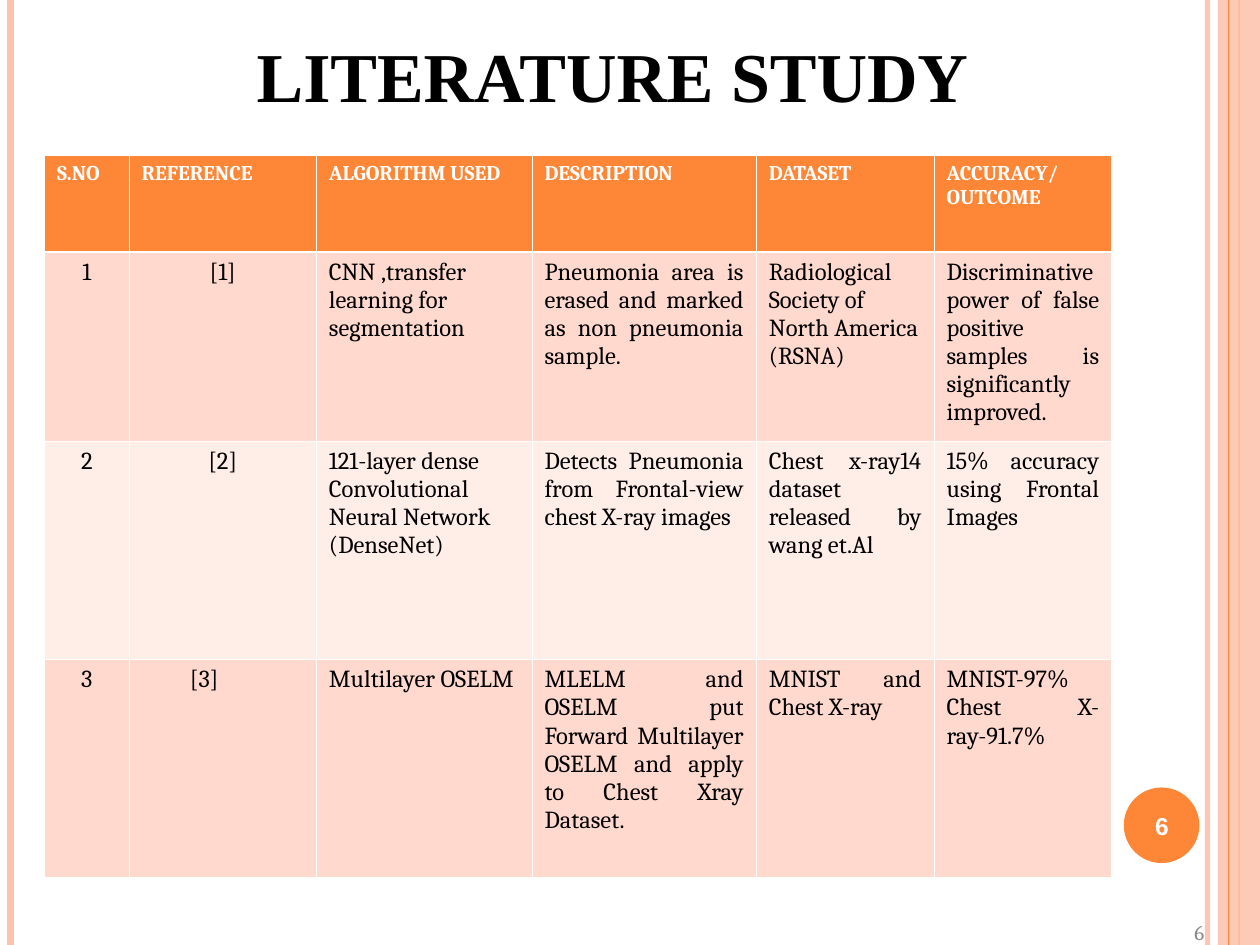
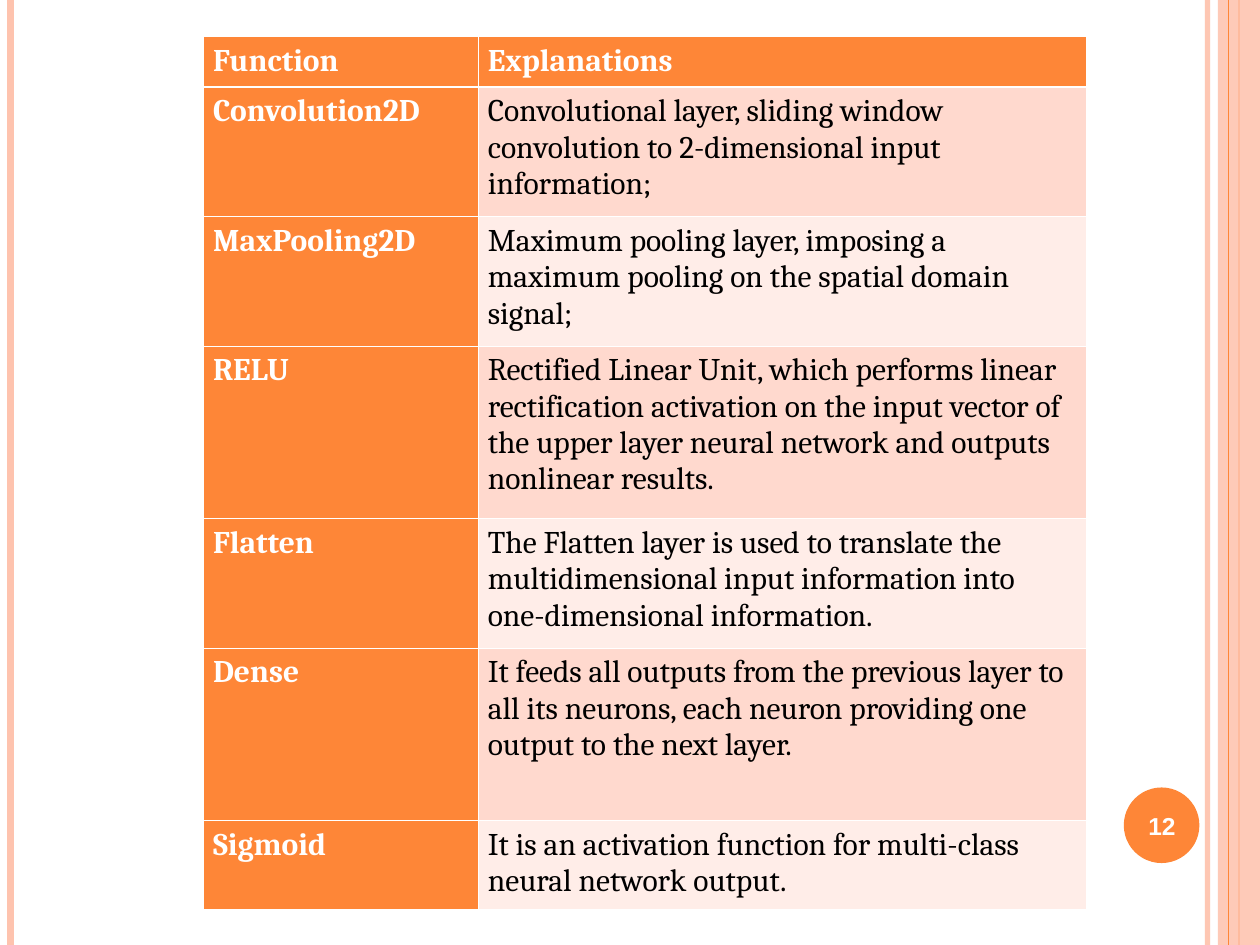
"""Build two slides: a literature study table and a table of layer functions."""
import pptx
import pptx.util
import pptx.dml.color
import pptx.enum.shapes
import pptx.enum.text
import pptx.oxml
import pptx.oxml.ns

Pt = pptx.util.Pt
ALIGN = pptx.enum.text.PP_ALIGN
SHAPE = pptx.enum.shapes.MSO_SHAPE
SIDES = {"l": ALIGN.LEFT, "c": ALIGN.CENTER, "r": ALIGN.RIGHT, "j": ALIGN.JUSTIFY}
ORANGE, PEACH, WHITE, BLACK, GREY = "FE8637", "FEC3AE", "FFFFFF", "000000", "898989"
BANDS = ["FFD9CE", "FFEDE8"]
WIDE, HIGH = 720, 540

STUDY = {
    "rows": [
        ["S.NO", "REFERENCE", "ALGORITHM USED", "DESCRIPTION", "DATASET",
         "ACCURACY/\nOUTCOME"],
        ["1", "[1]", "CNN ,transfer learning for segmentation",
         "Pneumonia area is erased and marked as non pneumonia sample.",
         "Radiological Society of North America\n(RSNA)",
         "Discriminative power of false positive samples is significantly improved."],
        ["2", "[2]", "121-layer dense Convolutional Neural Network\n(DenseNet)",
         "Detects Pneumonia from Frontal-view chest X-ray images",
         "Chest x-ray14 dataset released by wang et.Al",
         "15% accuracy using Frontal Images"],
        ["3", "[3]", "Multilayer OSELM",
         "MLELM and OSELM put Forward Multilayer OSELM and apply to Chest Xray Dataset.",
         "MNIST and Chest X-ray", "MNIST-97%\nChest X-ray-91.7%"],
    ],
    "sides": ["jjjjjj", "ccljlj", "ccljjj", "cjjjjj"],
    "spot": (25.4, 88.6),
    "cols": [48.4, 107, 123.2, 128.2, 101.6, 101.6],
    "highs": [55.2, 108.2, 124.8, 124.8],
    "pad": 7.2, "sizes": (12, 14), "side": False,
}
LAYERS = {
    "rows": [
        ["Function", "Explanations"],
        ["Convolution2D",
         "Convolutional layer, sliding window convolution to 2-dimensional input information;"],
        ["MaxPooling2D",
         "Maximum pooling layer, imposing a maximum pooling on the spatial domain signal;"],
        ["RELU",
         "Rectified Linear Unit, which performs linear rectification activation on the "
         "input vector of the upper layer neural network and outputs nonlinear results."],
        ["Flatten",
         "The Flatten layer is used to translate the multidimensional input information "
         "into one-dimensional information."],
        ["Dense",
         "It feeds all outputs from the previous layer to all its neurons, each neuron "
         "providing one output to the next layer."],
        ["Sigmoid", "It is an activation function for multi-class neural network output."],
    ],
    "sides": ["ll"] * 7,
    "spot": (116.4, 21),
    "cols": [157, 347.2],
    "highs": [24.6, 74, 74, 98.6, 74, 98.6, 49.4],
    "pad": 5.4, "sizes": (18, 18), "side": True,
}
RULES = [(690, 3, PEACH, 93), (6, 4.5, PEACH, 100), (708, 1.5, ORANGE, 100)]
EDGE = (702, 0.75, ORANGE, 100)


def hue(code):
    return pptx.dml.color.RGBColor.from_string(code)


def tag(name, **vals):
    item = pptx.oxml.parse_xml(f"<a:{name} {pptx.oxml.ns.nsdecls('a')}/>")
    for key, val in vals.items():
        item.set(key, str(val))
    return item


def fade(shape, part):
    if part < 100:
        shade = next(shape._element.spPr.iter(pptx.oxml.ns.qn("a:srgbClr")))
        shade.append(tag("alpha", val=part * 1000))


def style(para, side, color, **form):
    para.alignment = SIDES[side]
    para.font.color.rgb = hue(color)
    for key, val in form.items():
        setattr(para.font, key, val)


def rule(slide, x, width, color, part):
    line = slide.shapes.add_connector(
        pptx.enum.shapes.MSO_CONNECTOR.STRAIGHT, Pt(x), 0, Pt(x), Pt(HIGH))
    line.line.width = Pt(width)
    line.line.color.rgb = hue(color)
    fade(line, part)
    line._element.spPr.append(tag("effectLst"))


def block(slide, kind, box, color, part=100):
    shape = slide.shapes.add_shape(kind, *map(Pt, box))
    shape.shadow.inherit = False
    shape.fill.solid()
    shape.fill.fore_color.rgb = hue(color)
    shape.line.fill.background()
    fade(shape, part)


def label(slide, text, box, side, color, wrap=True, **form):
    frame = slide.shapes.add_textbox(*map(Pt, box)).text_frame
    anchor = pptx.enum.text.MSO_ANCHOR
    frame.word_wrap = wrap
    frame.vertical_anchor = anchor.MIDDLE if wrap else anchor.TOP
    frame.text = text
    style(frame.paragraphs[0], side, color, **form)


def border(cell, row):
    props = cell._tc.get_or_add_tcPr()
    thick = {"T": row == 1, "B": row == 0}
    for edge in "LRTB":
        line = tag("ln" + edge, w=Pt(1.47 if thick.get(edge) else 0.45))
        fill = tag("solidFill")
        fill.append(tag("srgbClr", val=WHITE))
        line.append(fill)
        props.append(line)


def grid(slide, data):
    rows, cols, highs = data["rows"], data["cols"], data["highs"]
    table = slide.shapes.add_table(
        len(rows), len(cols), *map(Pt, (*data["spot"], sum(cols), sum(highs)))).table
    table.first_row = table.horz_banding = False
    for col, width in zip(table.columns, cols):
        col.width = Pt(width)
    for r, (row, high) in enumerate(zip(table.rows, highs)):
        row.height = Pt(high)
        for c, cell in enumerate(row.cells):
            head = r == 0 or (data["side"] and c == 0)
            border(cell, r)
            cell.fill.solid()
            cell.fill.fore_color.rgb = hue(ORANGE if head else BANDS[(r - 1) % 2])
            cell.margin_left = cell.margin_right = Pt(data["pad"])
            cell.text = rows[r][c]
            for para in cell.text_frame.paragraphs:
                style(para, data["sides"][r][c], WHITE if head else BLACK,
                      size=Pt(data["sizes"][r > 0]), name="Cambria", bold=head)
    return table


def page(deck, num):
    slide = deck.slides.add_slide(deck.slide_layouts[6])
    for line in RULES:
        rule(slide, *line)
    block(slide, SHAPE.RECTANGLE, (696, 0, WIDE - 696, HIGH), PEACH, 87)
    rule(slide, *EDGE)
    block(slide, SHAPE.OVAL, (642.2, 450, 43.2, 43.2), ORANGE)
    label(slide, str(num), (640, 451.4, 48, 41), "c", WHITE,
          size=Pt(14), name="Arial", bold=True)
    return slide


def main():
    deck = pptx.Presentation()
    deck.slide_width, deck.slide_height = Pt(WIDE), Pt(HIGH)
    study = page(deck, 6)
    table = grid(study, STUDY)
    table.cell(3, 1).margin_left = Pt(34.8)
    label(study, "6", (575.2, 523.4, 120, 18), "r", GREY, size=Pt(12), name="Cambria")
    label(study, "LITERATURE STUDY", (139.6, 15.2, 424, 55.4), "l", BLACK, wrap=False,
          size=Pt(40), name="Times New Roman", bold=True)
    grid(page(deck, 12), LAYERS)
    deck.save("out.pptx")


if __name__ == "__main__":
    main()
